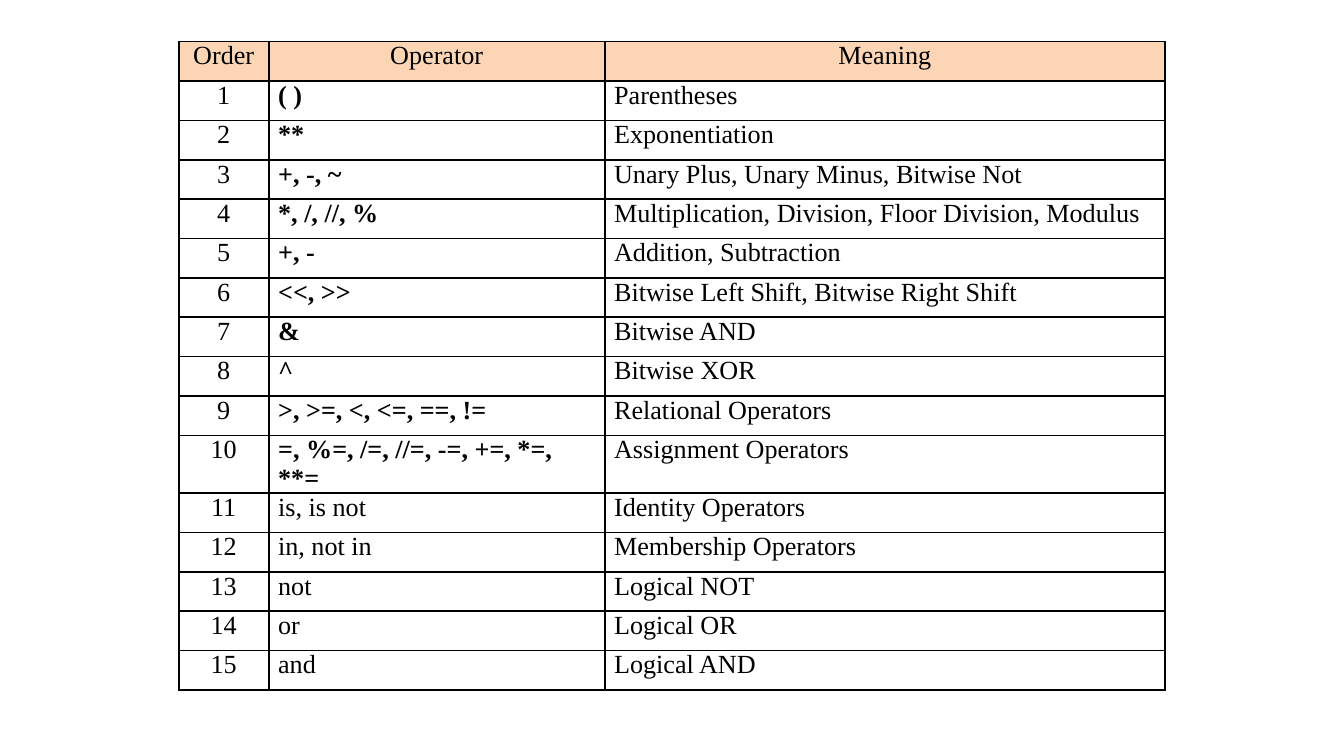
import pptx
import pptx.util
import pptx.dml.color
import pptx.enum.text
import pptx.oxml
import pptx.oxml.ns
from pptx.util import Inches

HEAD = ("Order", "Operator", "Meaning")
RANKS = [
    ("( )", "Parentheses"),
    ("**", "Exponentiation"),
    ("+, -, ~", "Unary Plus, Unary Minus, Bitwise Not"),
    ("*, /, //, %", "Multiplication, Division, Floor Division, Modulus"),
    ("+, -", "Addition, Subtraction"),
    ("<<, >>", "Bitwise Left Shift, Bitwise Right Shift"),
    ("&", "Bitwise AND"),
    ("^", "Bitwise XOR"),
    (">, >=, <, <=, ==, !=", "Relational Operators"),
    ("=, %=, /=, //=, -=, +=, *=, **=", "Assignment Operators"),
    ("is, is not", "Identity Operators"),
    ("in, not in", "Membership Operators"),
    ("not", "Logical NOT"),
    ("or", "Logical OR"),
    ("and", "Logical AND"),
]
WIDTHS = (0.67, 2.5, 4.17)
LEFT, TOP, HEIGHT = 1.33, 0.31, 4.69
FONT, SIZE = "Times New Roman", 14
INK, PEACH = "000000", "FCD5B5"


def color(code):
    """Turn a hex string into a colour."""
    return pptx.dml.color.RGBColor.from_string(code)


def border(cell):
    """Rule all four sides of a cell, ahead of its fill."""
    props = cell._tc.get_or_add_tcPr()
    for spot, side in enumerate(("lnL", "lnR", "lnT", "lnB")):
        line = pptx.oxml.parse_xml(
            f'<a:{side} {pptx.oxml.ns.nsdecls("a")} w="{pptx.util.Pt(1)}">'
            f'<a:solidFill><a:srgbClr val="{INK}"/></a:solidFill></a:{side}>')
        props.insert(spot, line)


def write(cell, text, center, bold, fill):
    """Fill one cell with styled text."""
    cell.margin_left = cell.margin_right = Inches(0.07)
    cell.margin_top = cell.margin_bottom = 0
    cell.text = text
    para = cell.text_frame.paragraphs[0]
    align = pptx.enum.text.PP_ALIGN
    para.alignment = align.CENTER if center else align.LEFT
    para.font.name = FONT
    para.font.size = pptx.util.Pt(SIZE)
    para.font.bold = bold
    para.font.color.rgb = color(INK)
    if fill:
        cell.fill.solid()
        cell.fill.fore_color.rgb = color(fill)
    else:
        cell.fill.background()
    border(cell)


deck = pptx.Presentation()
deck.slide_width = Inches(10)
deck.slide_height = deck.slide_width * 9 // 16
slide = deck.slides.add_slide(deck.slide_layouts[6])

rows = [HEAD] + [(str(n), *rank) for n, rank in enumerate(RANKS, 1)]
table = slide.shapes.add_table(
    len(rows), len(HEAD), Inches(LEFT), Inches(TOP),
    Inches(sum(WIDTHS)), Inches(HEIGHT)).table
table.horz_banding = False
for column, width in zip(table.columns, WIDTHS):
    column.width = Inches(width)
for r, row in enumerate(rows):
    for c, text in enumerate(row):
        symbol = c == 1 and not text[0].isalpha()
        write(table.cell(r, c), text, r == 0 or c == 0, symbol,
              PEACH if r == 0 else None)

deck.save("out.pptx")
